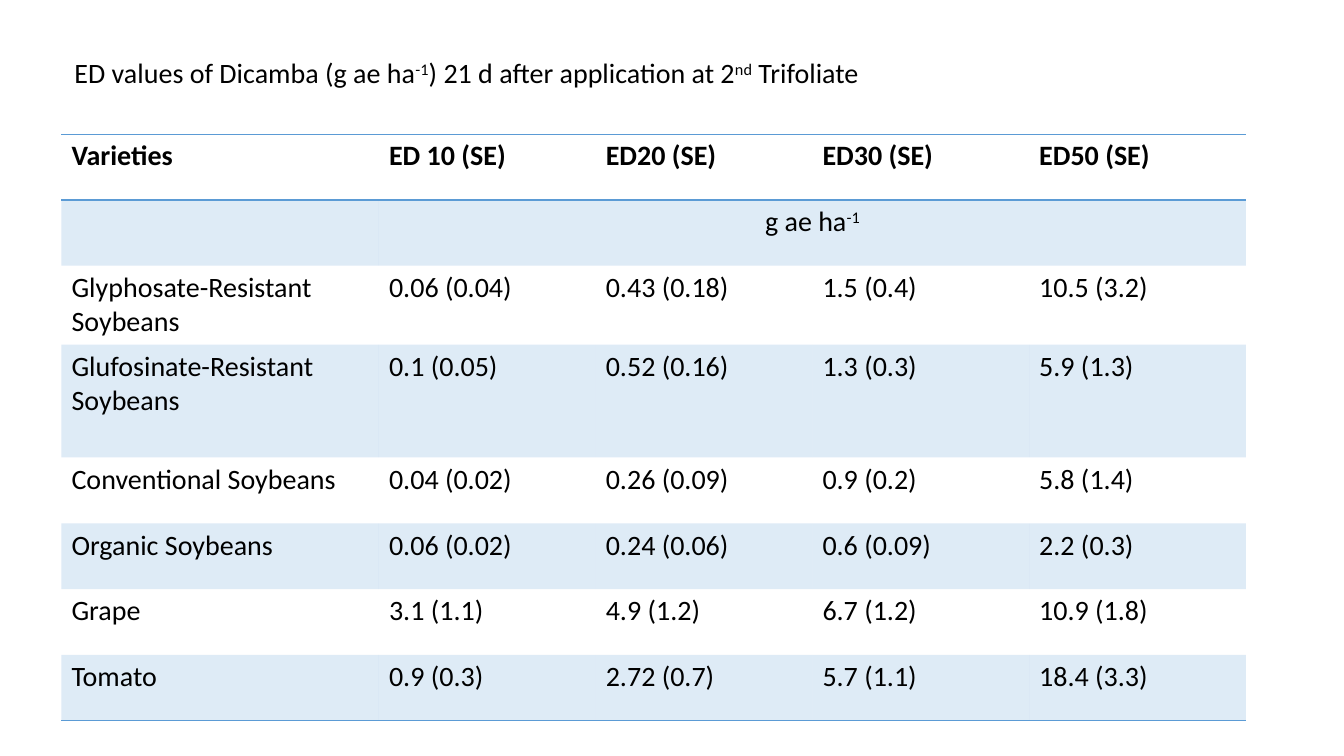
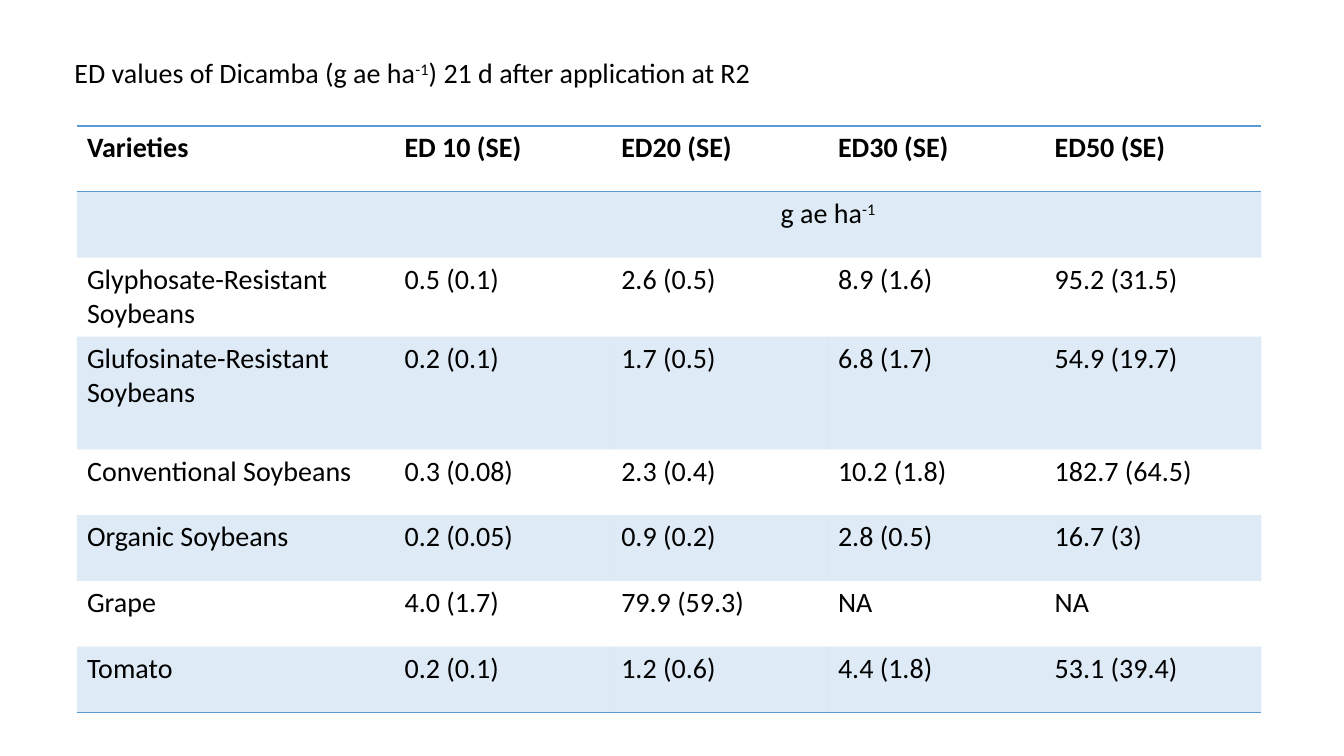
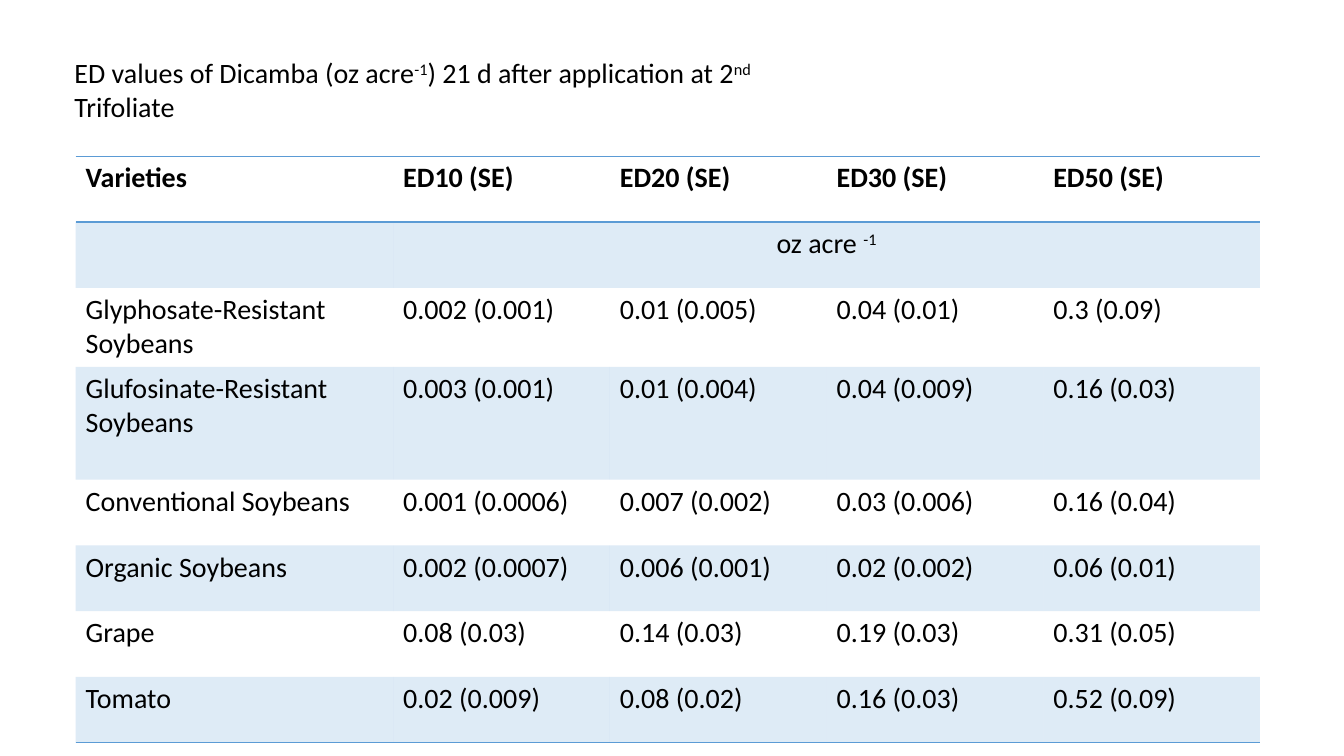
from lxml import etree
from pptx import Presentation
from pptx.dml.color import RGBColor
from pptx.enum import text
from pptx.oxml import ns
from pptx.util import Pt

# Shared look
BLACK = RGBColor(0, 0, 0)
BLUE = RGBColor(0x5B, 0x9B, 0xD5)
FONT, SIZE = "Calibri", 20
PLAIN = "{2D5ABB26-0587-4C30-8999-92F81FD0307C}"  # table style without grid
WIDTHS = [226.8] + [154.8] * 4
HEIGHTS = [47, 47, 56.4, 80.6, 47, 47, 47, 47]
CROPS = ["Glyphosate-Resistant Soybeans", "Glufosinate-Resistant Soybeans",
         "Conventional Soybeans", "Organic Soybeans", "Grape", "Tomato"]

# Slide content: in titles and units, every second piece is superscript
SHEETS = [
    dict(title=["ED values of Dicamba (g ae ha", "-1",
                ") 21 d after application at 2", "nd", " Trifoliate"],
         width=578.9, at=(43.9, 95.8), first="ED 10 (SE)", unit=["g ae ha", "-1"],
         doses=[["0.06 (0.04)", "0.43 (0.18)", "1.5 (0.4)", "10.5 (3.2)"],
                ["0.1 (0.05)", "0.52 (0.16)", "1.3 (0.3)", "5.9 (1.3)"],
                ["0.04 (0.02)", "0.26 (0.09)", "0.9 (0.2)", "5.8 (1.4)"],
                ["0.06 (0.02)", "0.24 (0.06)", "0.6 (0.09)", "2.2 (0.3)"],
                ["3.1 (1.1)", "4.9 (1.2)", "6.7 (1.2)", "10.9 (1.8)"],
                ["0.9 (0.3)", "2.72 (0.7)", "5.7 (1.1)", "18.4 (3.3)"]]),
    dict(title=["ED values of Dicamba (g ae ha", "-1",
                ") 21 d after application at R2"],
         width=504, at=(55, 90), first="ED 10 (SE)", unit=["g ae ha", "-1"],
         doses=[["0.5 (0.1)", "2.6 (0.5)", "8.9 (1.6)", "95.2 (31.5)"],
                ["0.2 (0.1)", "1.7 (0.5)", "6.8 (1.7)", "54.9 (19.7)"],
                ["0.3 (0.08)", "2.3 (0.4)", "10.2 (1.8)", "182.7 (64.5)"],
                ["0.2 (0.05)", "0.9 (0.2)", "2.8 (0.5)", "16.7 (3)"],
                ["4.0 (1.7)", "79.9 (59.3)", "NA", "NA"],
                ["0.2 (0.1)", "1.2 (0.6)", "4.4 (1.8)", "53.1 (39.4)"]]),
    dict(title=["ED values of Dicamba (oz acre", "-1",
                ") 21 d after application at 2", "nd", " Trifoliate"],
         width=563.8, at=(54, 111.6), first="ED10 (SE)", unit=["oz acre ", "-1"],
         doses=[["0.002 (0.001)", "0.01 (0.005)", "0.04 (0.01)", "0.3 (0.09)"],
                ["0.003 (0.001)", "0.01 (0.004)", "0.04 (0.009)", "0.16 (0.03)"],
                ["0.001 (0.0006)", "0.007 (0.002)", "0.03 (0.006)", "0.16 (0.04)"],
                ["0.002 (0.0007)", "0.006 (0.001)", "0.02 (0.002)", "0.06 (0.01)"],
                ["0.08 (0.03)", "0.14 (0.03)", "0.19 (0.03)", "0.31 (0.05)"],
                ["0.02 (0.009)", "0.08 (0.02)", "0.16 (0.03)", "0.52 (0.09)"]]),
]


def write(para, parts, bold=False):
    for i, part in enumerate(parts):
        run = para.add_run()
        run.text = part
        font = run.font
        font.name, font.size, font.bold = FONT, Pt(SIZE), bold
        font.color.rgb = BLACK
        if i % 2:
            run._r.get_or_add_rPr().set("baseline", "30000")


def add_title(slide, parts, width):
    title = slide.shapes.title
    title.left, title.top = Pt(46), Pt(36)
    title.width, title.height = Pt(width), Pt(31.5)
    frame = title.text_frame
    frame.word_wrap = False
    frame.auto_size = text.MSO_AUTO_SIZE.SHAPE_TO_FIT_TEXT
    frame.vertical_anchor = text.MSO_ANCHOR.TOP
    para = frame.paragraphs[0]
    para.alignment = text.PP_ALIGN.LEFT
    write(para, parts)


def tint(cell):
    cell.fill.solid()
    cell.fill.fore_color.rgb = BLUE
    color = cell._tc.tcPr.find(".//" + ns.qn("a:srgbClr"))
    etree.SubElement(color, ns.qn("a:alpha")).set("val", "20000")


def rule(cell, sides):
    # Borders must stand before the fill
    props = cell._tc.get_or_add_tcPr()
    for i, side in enumerate(sides):
        line = etree.Element(ns.qn("a:ln" + side), w=str(Pt(1)))
        fill = etree.SubElement(line, ns.qn("a:solidFill"))
        etree.SubElement(fill, ns.qn("a:srgbClr")).set("val", str(BLUE))
        props.insert(i, line)


def add_grid(slide, at, rows):
    left, top = at
    frame = slide.shapes.add_table(len(rows), len(WIDTHS), Pt(left), Pt(top),
                                   Pt(sum(WIDTHS)), Pt(sum(HEIGHTS)))
    grid = frame.table
    grid.first_row = grid.horz_banding = False
    grid._tbl.tblPr.find(ns.qn("a:tableStyleId")).text = PLAIN
    for col, width in zip(grid.columns, WIDTHS):
        col.width = Pt(width)
    for row, height in zip(grid.rows, HEIGHTS):
        row.height = Pt(height)

    borders = {0: "TB", len(rows) - 1: "B"}
    for r, row in enumerate(rows):
        for c, parts in enumerate(row):
            cell = grid.cell(r, c)
            write(cell.text_frame.paragraphs[0], parts, bold=r == 0)
            if r % 2:
                tint(cell)
            else:
                cell.fill.background()
            rule(cell, borders.get(r, ""))

    # The unit spans all dose columns
    unit = grid.cell(1, 1)
    unit.merge(grid.cell(1, len(WIDTHS) - 1))
    unit.text_frame.paragraphs[0].alignment = text.PP_ALIGN.CENTER


def main():
    deck = Presentation()
    deck.slide_width, deck.slide_height = Pt(960), Pt(540)
    for sheet in SHEETS:
        slide = deck.slides.add_slide(deck.slide_layouts[5])
        add_title(slide, sheet["title"], sheet["width"])
        head = ["Varieties", sheet["first"], "ED20 (SE)", "ED30 (SE)", "ED50 (SE)"]
        rows = [[[name] for name in head], [[], sheet["unit"], [], [], []]]
        for crop, doses in zip(CROPS, sheet["doses"]):
            rows.append([[item] for item in [crop] + doses])
        add_grid(slide, sheet["at"], rows)
    deck.save("out.pptx")


main()
